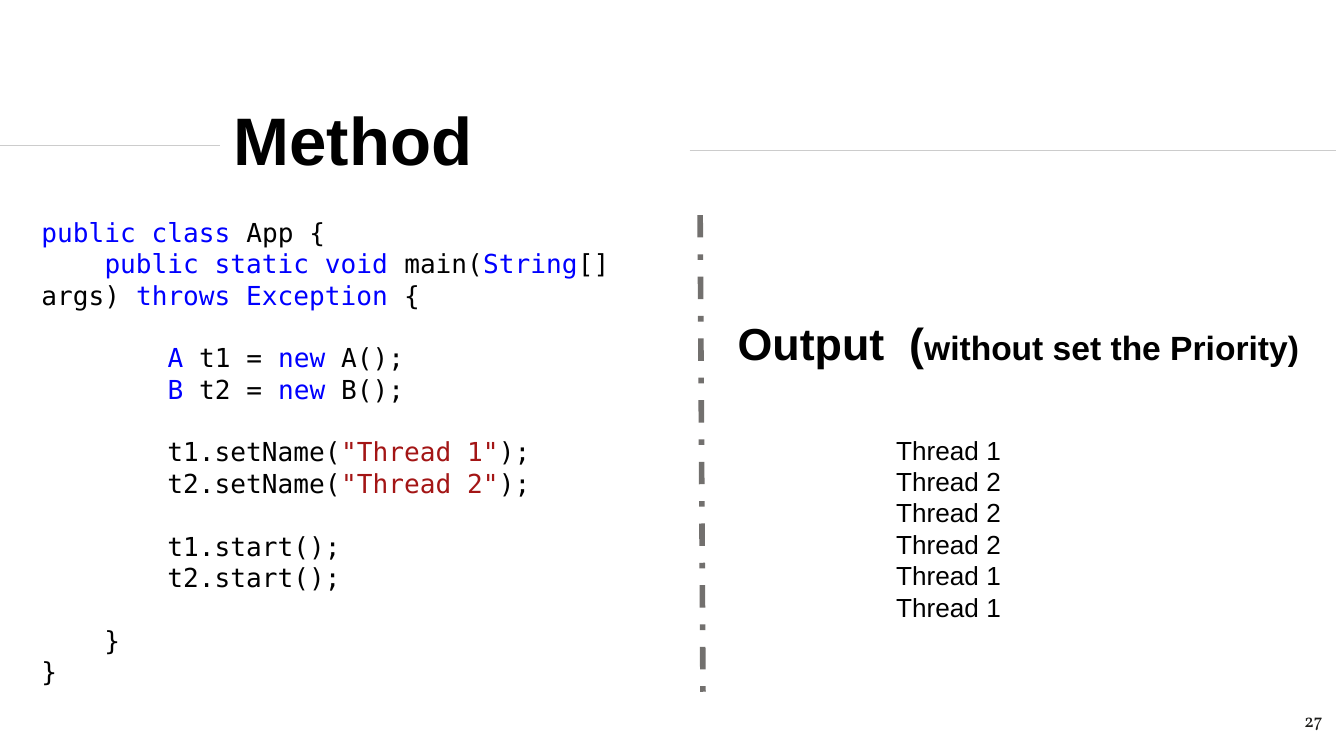
from lxml.etree import SubElement
from pptx import Presentation
from pptx.dml.color import RGBColor
from pptx.enum.dml import MSO_LINE
from pptx.enum.shapes import MSO_CONNECTOR
from pptx.enum.text import MSO_ANCHOR, PP_ALIGN
from pptx.oxml.ns import qn
from pptx.util import Pt

BLACK, KEYWORD, STRING = "000000", "0000FF", "A31515"
CODE_LINE = 16.8  # height of one blank code line
TITLE = [[("Method", {})]]
PAGE = [[("27", {})]]
HEADING = [[("Output  (", {}), ("without set the Priority)", {"size": Pt(18)})]]
OUTPUT = [[(f"Thread {n}", {})] for n in (1, 2, 2, 2, 1, 1)]

# Code lines as (text, colour) runs; None is a blank line
CODE = [
    [("public class", KEYWORD), (" App {", BLACK)],
    [("    ", BLACK), ("public static void", KEYWORD), (" main(", BLACK),
     ("String", KEYWORD), ("[] args) ", BLACK),
     ("throws Exception", KEYWORD), (" {", BLACK)],
    None,
    [("        ", BLACK), ("A", KEYWORD), (" t1 = ", BLACK),
     ("new", KEYWORD), (" A();", BLACK)],
    [("        ", BLACK), ("B", KEYWORD), (" t2 = ", BLACK),
     ("new", KEYWORD), (" B();", BLACK)],
    None,
    [("        t1.setName(", BLACK), ('"Thread 1"', STRING), (");", BLACK)],
    [("        t2.setName(", BLACK), ('"Thread 2"', STRING), (");", BLACK)],
    None,
    [("        t1.start();", BLACK)],
    [("        t2.start();", BLACK)],
    None,
    [("    }", BLACK)],
    [("}", BLACK)],
]

# Lines: start, end, colour, width, dash
LINES = [
    ((0, 77.8), (118.1, 77.8), "CCCCCC", 0.75, None),
    ((369.4, 80.6), (715.7, 80.6), "CCCCCC", 0.75, None),
    ((375.1, 115.2), (376.6, 370.8), "72706E", 3, MSO_LINE.DASH_DOT),
]


def rgb(value):
    return RGBColor.from_string(value)


def set_all(obj, values):
    for name, value in values.items():
        setattr(obj, name, value)


def add_rule(s, start, end, color, width, dash):
    line = s.shapes.add_connector(MSO_CONNECTOR.STRAIGHT,
                                  *map(Pt, start), *map(Pt, end))
    line.line.color.rgb = rgb(color)
    set_all(line.line, {"width": Pt(width), "dash_style": dash})
    SubElement(line._element.spPr, qn("a:effectLst"))


def add_text(s, box, lines, font, size, color=BLACK, bold=False,
             inset=3.6, anchor=MSO_ANCHOR.TOP, align=PP_ALIGN.LEFT):
    tf = s.shapes.add_textbox(*map(Pt, box)).text_frame
    set_all(tf, {"word_wrap": True, "vertical_anchor": anchor,
                 "margin_left": Pt(7.2), "margin_right": Pt(7.2),
                 "margin_top": Pt(inset), "margin_bottom": Pt(inset)})
    p, blank = None, False
    for runs in lines:
        if runs is None:
            blank = True
            continue
        p = tf.paragraphs[0] if p is None else tf.add_paragraph()
        p.alignment = align
        if blank:
            p.space_before = Pt(CODE_LINE)
            blank = False
        for text, style in runs:
            r = p.add_run()
            r.text = text
            look = {"name": font, "size": Pt(size), "bold": bold} | style
            r.font.color.rgb = rgb(look.pop("color", color))
            set_all(r.font, look)


prs = Presentation()
set_all(prs, {"slide_width": Pt(720), "slide_height": Pt(405)})
s = prs.slides.add_slide(prs.slide_layouts[6])

# Title rules and column divider
for rule in LINES:
    add_rule(s, *rule)

# Title and page number
add_text(s, (118.1, 56.9, 305.3, 34.6), TITLE, "Arial", 36, bold=True,
         inset=7.2, anchor=MSO_ANCHOR.MIDDLE)
add_text(s, (672.5, 373.7, 43.2, 31), PAGE, "Vollkorn", 10, "1D1D1B",
         inset=7.2, align=PP_ALIGN.RIGHT)

# Code on the left
code = [line and [(text, {"color": color}) for text, color in line]
        for line in CODE]
add_text(s, (15.1, 112.3, 360, 262.1), code, "DejaVu Sans Mono", 14)

# Output on the right
add_text(s, (388.1, 165.6, 328.3, 36), HEADING, "Arial", 24, bold=True)
add_text(s, (473, 229, 126, 108.7), OUTPUT, "Arial", 14)

prs.save("out.pptx")
